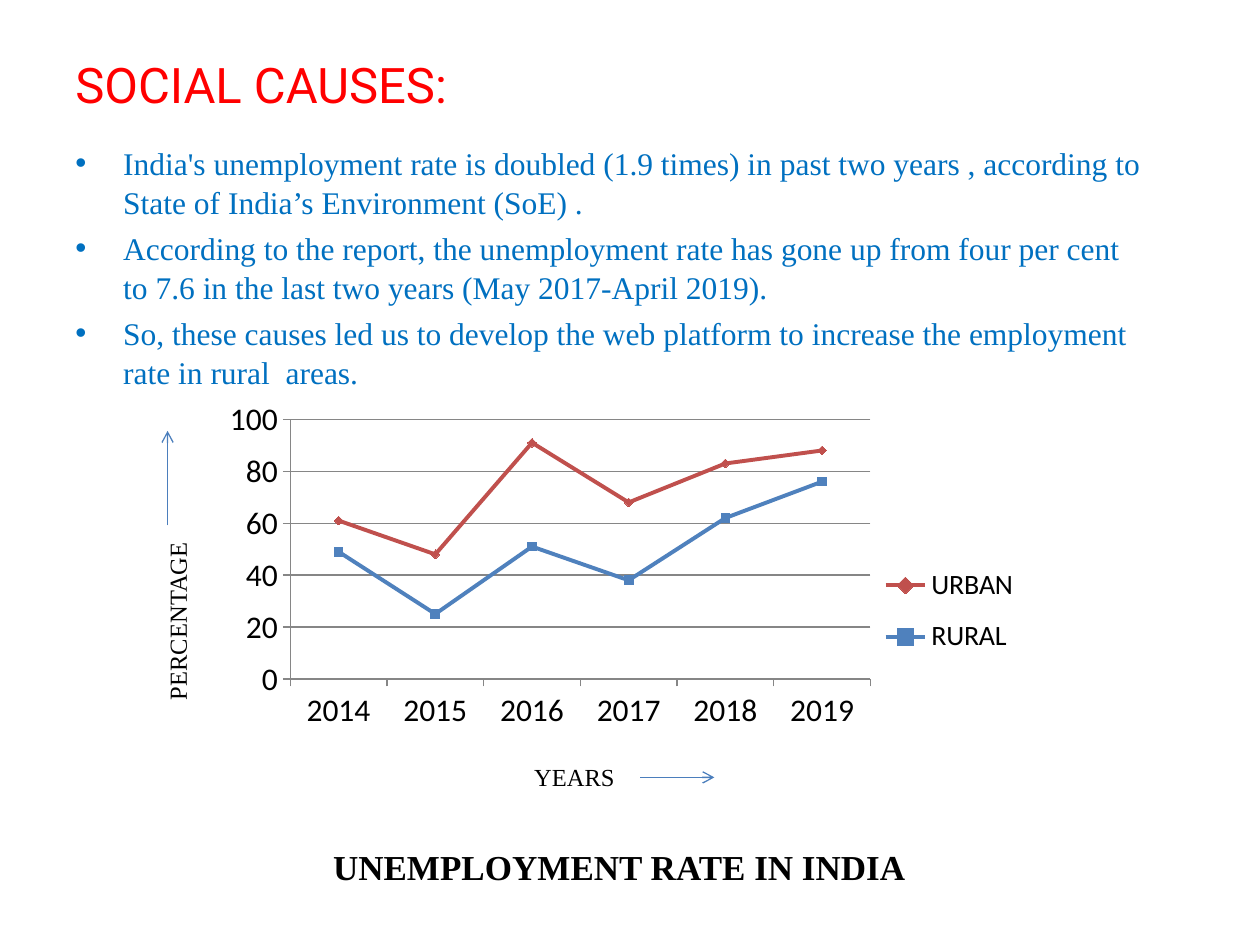
from dataclasses import dataclass

from lxml import etree
from pptx import Presentation
from pptx.chart.data import CategoryChartData
from pptx.dml.color import RGBColor
from pptx.enum.chart import XL_CHART_TYPE, XL_LEGEND_POSITION, XL_MARKER_STYLE, XL_TICK_MARK
from pptx.enum.shapes import MSO_CONNECTOR
from pptx.enum.text import MSO_ANCHOR, PP_ALIGN
from pptx.oxml import parse_xml
from pptx.oxml.ns import nsdecls, qn
from pptx.util import Inches, Pt

STACKED = XL_CHART_TYPE.LINE_MARKERS_STACKED
RIGHT = XL_LEGEND_POSITION.RIGHT
SQUARE, DIAMOND = XL_MARKER_STYLE.SQUARE, XL_MARKER_STYLE.DIAMOND
OUTSIDE = XL_TICK_MARK.OUTSIDE
STRAIGHT = MSO_CONNECTOR.STRAIGHT
TOP, MIDDLE = MSO_ANCHOR.TOP, MSO_ANCHOR.MIDDLE
LEFT, CENTER = PP_ALIGN.LEFT, PP_ALIGN.CENTER


@dataclass(frozen=True)
class Theme:
    """Colours, fonts and type sizes of the slide."""
    red: str = "FF0000"
    blue: str = "0070C0"
    black: str = "000000"
    grid: str = "868686"
    arrow: str = "4B7EBC"
    rural: str = "4F81BD"
    urban: str = "C0504D"
    head: str = "Roboto"
    serif: str = "Times New Roman"
    sans: str = "Calibri"
    title: int = 28
    body: int = 18
    key: int = 16
    label: int = 14
    caption: int = 20


class Board:
    """Draws styled elements on the current slide."""

    def __init__(self, slide, theme):
        self.slide = slide
        self.theme = theme

    def text(self, box, lines, font, size, color, align=LEFT, anchor=MIDDLE,
             bold=False, bullet=False, turn=0):
        shape = self.slide.shapes.add_textbox(*map(Inches, box))
        shape.rotation = turn
        frame = shape.text_frame
        frame.word_wrap = True
        frame.vertical_anchor = anchor
        for i, line in enumerate(lines):
            para = frame.paragraphs[0] if i == 0 else frame.add_paragraph()
            para.text = line
            para.alignment = align
            para.font.name = font
            para.font.size = Pt(size)
            para.font.bold = bold
            para.font.color.rgb = RGBColor.from_string(color)
            if bullet:
                self.bullet(para, size)

    def bullet(self, para, size):
        para.line_spacing = 1.04
        para.space_before = Pt(size * 0.2)
        props = para._p.get_or_add_pPr()
        props.set("marL", str(Inches(0.38)))
        props.set("indent", str(-Inches(0.38)))
        mark = parse_xml(f'<a:buFont {nsdecls("a")} typeface="Arial"/>')
        props.insert_element_before(mark, "a:defRPr")
        sign = parse_xml(f'<a:buChar {nsdecls("a")} char="•"/>')
        props.insert_element_before(sign, "a:defRPr")

    def arrow(self, *ends):
        line = self.slide.shapes.add_connector(STRAIGHT, *map(Inches, ends))
        line.line.color.rgb = RGBColor.from_string(self.theme.arrow)
        line.line.width = Pt(0.75)
        etree.SubElement(line.line._get_or_add_ln(), qn("a:tailEnd"), type="arrow")
        etree.SubElement(line._element.spPr, qn("a:effectLst"))

    def layout(self, node, after, x, y, w, h, inner=False):
        target = '<c:layoutTarget val="inner"/>' if inner else ""
        for old in node.findall(qn("c:layout")):
            node.remove(old)
        tree = parse_xml(
            f'<c:layout {nsdecls("c")}><c:manualLayout>{target}'
            '<c:xMode val="edge"/><c:yMode val="edge"/>'
            f'<c:x val="{x}"/><c:y val="{y}"/><c:w val="{w}"/><c:h val="{h}"/>'
            '</c:manualLayout></c:layout>')
        if after is None:
            node.insert(0, tree)
        else:
            after.addnext(tree)

    def chart(self, box, years, rows):
        theme = self.theme
        data = CategoryChartData()
        data.categories = years
        for name, values, _, _ in rows:
            data.add_series(name, values)
        frame = self.slide.shapes.add_chart(STACKED, *map(Inches, box), data)
        chart = frame.chart
        chart.has_title = False
        chart.font.name = theme.sans
        chart.font.size = Pt(theme.body)
        chart.font.color.rgb = RGBColor.from_string(theme.black)
        plot = chart.plots[0]
        plot.vary_by_categories = False
        for series, (_, _, color, mark) in zip(plot.series, rows):
            rgb = RGBColor.from_string(color)
            series.smooth = False
            series.format.line.color.rgb = rgb
            series.format.line.width = Pt(2.25)
            series.marker.style = mark
            series.marker.size = 5
            series.marker.format.fill.solid()
            series.marker.format.fill.fore_color.rgb = rgb
            series.marker.format.line.color.rgb = rgb
        scale = chart.value_axis
        scale.minimum_scale, scale.maximum_scale, scale.major_unit = 0, 100, 20
        scale.has_major_gridlines = True
        for axis in (chart.category_axis, scale):
            axis.major_tick_mark = OUTSIDE
        for part in (chart.category_axis, scale, scale.major_gridlines):
            part.format.line.color.rgb = RGBColor.from_string(theme.grid)
            part.format.line.width = Pt(0.75)
        chart.has_legend = True
        legend = chart.legend
        legend.position = RIGHT
        legend.include_in_layout = False
        legend.font.name = theme.sans
        legend.font.size = Pt(theme.key)
        legend.font.color.rgb = RGBColor.from_string(theme.black)
        key = legend._element
        self.layout(key, key.find(qn("c:legendPos")), 0.82, 0.38, 0.17, 0.3)
        area = chart._chartSpace.chart.plotArea
        self.layout(area, None, 0.11, 0.05, 0.7, 0.65, inner=True)


def main():
    deck = Presentation()
    deck.slide_width, deck.slide_height = Inches(10), Inches(7.5)
    theme = Theme()
    board = Board(deck.slides.add_slide(deck.slide_layouts[6]), theme)

    board.text((0.5, 0.25, 8.5, 0.83), ["SOCIAL CAUSES:"],
               theme.head, theme.title, theme.red)
    board.text((0.5, 1.08, 8.67, 2.05), [
        "India's unemployment rate is doubled (1.9 times) in past two years , "
        "according to State of India’s Environment (SoE) .",
        "According to the report, the unemployment rate has gone up from four "
        "per cent to 7.6 in the last two years (May 2017-April 2019).",
        "So, these causes led us to develop the web platform to increase the "
        "employment rate in rural  areas.",
    ], theme.serif, theme.body, theme.blue, anchor=TOP, bullet=True)

    board.chart((1.58, 3.17, 6.58, 3.17),
                ["2014", "2015", "2016", "2017", "2018", "2019"],
                [("RURAL", (49, 25, 51, 38, 62, 76), theme.rural, SQUARE),
                 ("URBAN", (12, 23, 40, 30, 21, 12), theme.urban, DIAMOND)])

    label = (theme.serif, theme.label, theme.black, CENTER)
    board.text((3.81, 6, 1.5, 0.33), ["YEARS"], *label)
    board.arrow(5.08, 6.17, 5.67, 6.17)
    board.text((0.53, 4.64, 1.75, 0.58), ["PERCENTAGE"], *label, turn=270)
    board.arrow(1.33, 4.17, 1.33, 3.42)
    board.text((1, 6.67, 7.83, 0.42), ["UNEMPLOYMENT RATE IN INDIA"],
               theme.serif, theme.caption, theme.black, CENTER, bold=True)
    deck.save("out.pptx")


if __name__ == "__main__":
    main()
